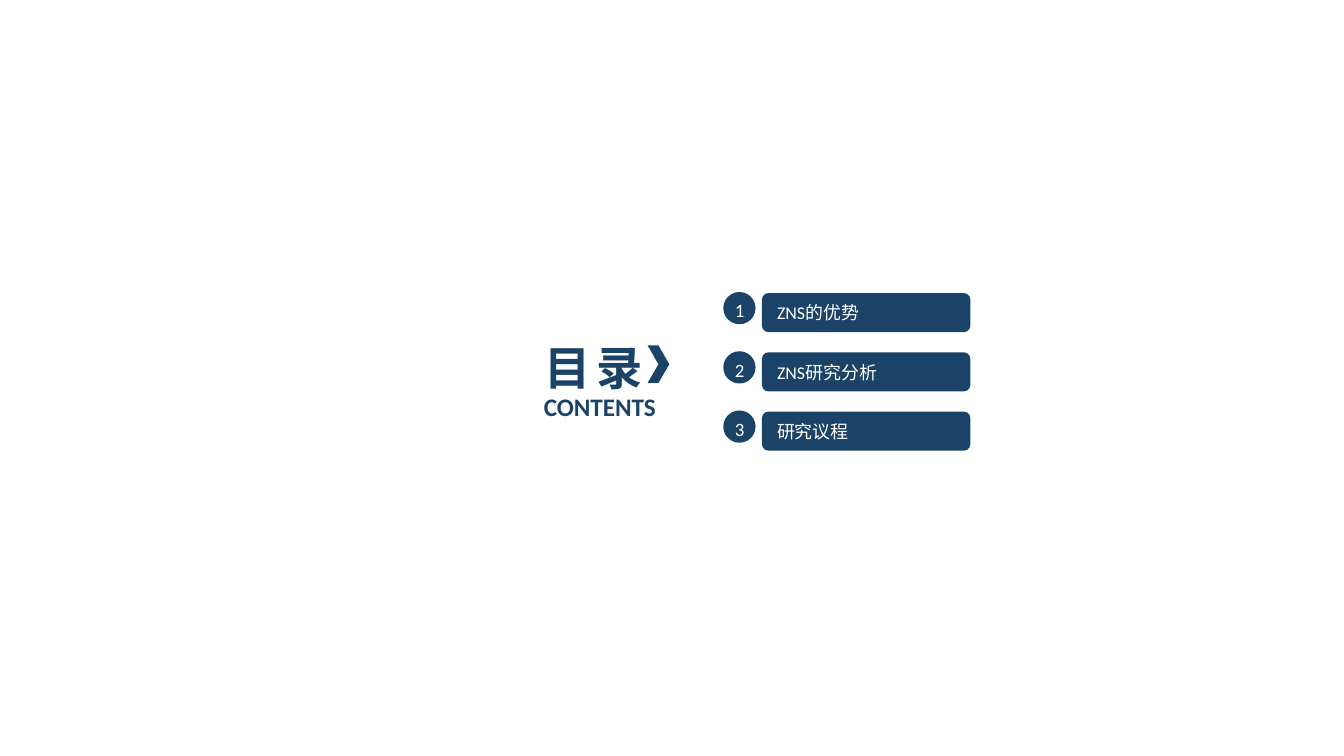
from dataclasses import dataclass

from pptx import Presentation
from pptx.dml.color import RGBColor
from pptx.enum.shapes import MSO_SHAPE
from pptx.enum.text import MSO_ANCHOR, MSO_AUTO_SIZE, PP_ALIGN
from pptx.shapes.autoshape import Shape
from pptx.util import Cm, Pt


@dataclass(frozen=True)
class Theme:
    navy: RGBColor = RGBColor(0x1B, 0x43, 0x67)
    white: RGBColor = RGBColor(0xFF, 0xFF, 0xFF)
    font: str = "Calibri"
    title: float = 24.8
    subtitle: float = 13.5
    number: float = 10.1
    item: float = 9.6


@dataclass(frozen=True)
class Box:
    """A place on the slide, in centimetres."""
    left: float
    top: float
    width: float
    height: float

    def lengths(self) -> tuple[Cm, Cm, Cm, Cm]:
        return Cm(self.left), Cm(self.top), Cm(self.width), Cm(self.height)


@dataclass(frozen=True)
class Item:
    number: int
    text: str


THEME = Theme()
ITEMS = [Item(1, "ZNS的优势"), Item(2, "ZNS研究分析"), Item(3, "研究议程")]
FIRST_TOP = 5.52
PITCH = 1.12


def write(sp: Shape, text: str, size: float, color: RGBColor,
          bold: bool = False, align: PP_ALIGN = PP_ALIGN.LEFT) -> None:
    tf = sp.text_frame
    tf.text = text
    tf.word_wrap = True
    tf.auto_size = MSO_AUTO_SIZE.NONE
    tf.vertical_anchor = MSO_ANCHOR.MIDDLE
    p = tf.paragraphs[0]
    p.alignment = align
    font = p.runs[0].font
    font.name, font.size, font.bold = THEME.font, Pt(size), bold
    font.color.rgb = color


def add_solid(shapes, kind: MSO_SHAPE, box: Box) -> Shape:
    sp = shapes.add_shape(kind, *box.lengths())
    sp.shadow.inherit = False
    sp.fill.solid()
    sp.fill.fore_color.rgb = THEME.navy
    sp.line.fill.background()
    return sp


def add_item(shapes, item: Item) -> None:
    """Draw one contents row: a bar and its grouped number badge."""
    top = FIRST_TOP + (item.number - 1) * PITCH
    bar = add_solid(shapes, MSO_SHAPE.ROUNDED_RECTANGLE, Box(14.4, top + 0.02, 3.94, 0.74))
    write(bar, item.text, THEME.item, THEME.white)

    badge = shapes.add_group_shape().shapes
    add_solid(badge, MSO_SHAPE.OVAL, Box(13.67, top, 0.61, 0.61))
    label = badge.add_textbox(*Box(13.61, top, 0.74, 0.69).lengths())
    label.text_frame.margin_left = label.text_frame.margin_right = 0
    write(label, str(item.number), THEME.number, THEME.white, align=PP_ALIGN.CENTER)


def add_heading(slide) -> None:
    title = slide.shapes.title
    title.left, title.top, title.width, title.height = Box(10.03, 6.27, 3.35, 1.32).lengths()
    write(title, "目 录", THEME.title, THEME.navy, bold=True)
    r = title.text_frame.paragraphs[0].runs[0]
    r.font._element.set("spc", "-130")

    subtitle = slide.shapes.add_textbox(*Box(10.03, 7.26, 3.3, 0.84).lengths())
    write(subtitle, "CONTENTS", THEME.subtitle, THEME.navy, bold=True)
    add_solid(slide.shapes, MSO_SHAPE.CHEVRON, Box(12.24, 6.53, 0.41, 0.71))


def main() -> None:
    prs = Presentation()
    prs.slide_width, prs.slide_height = Cm(25.4), Cm(14.29)
    slide = prs.slides.add_slide(prs.slide_layouts.get_by_name("Title Only"))
    add_heading(slide)
    for item in ITEMS:
        add_item(slide.shapes, item)
    prs.save("out.pptx")


if __name__ == "__main__":
    main()
